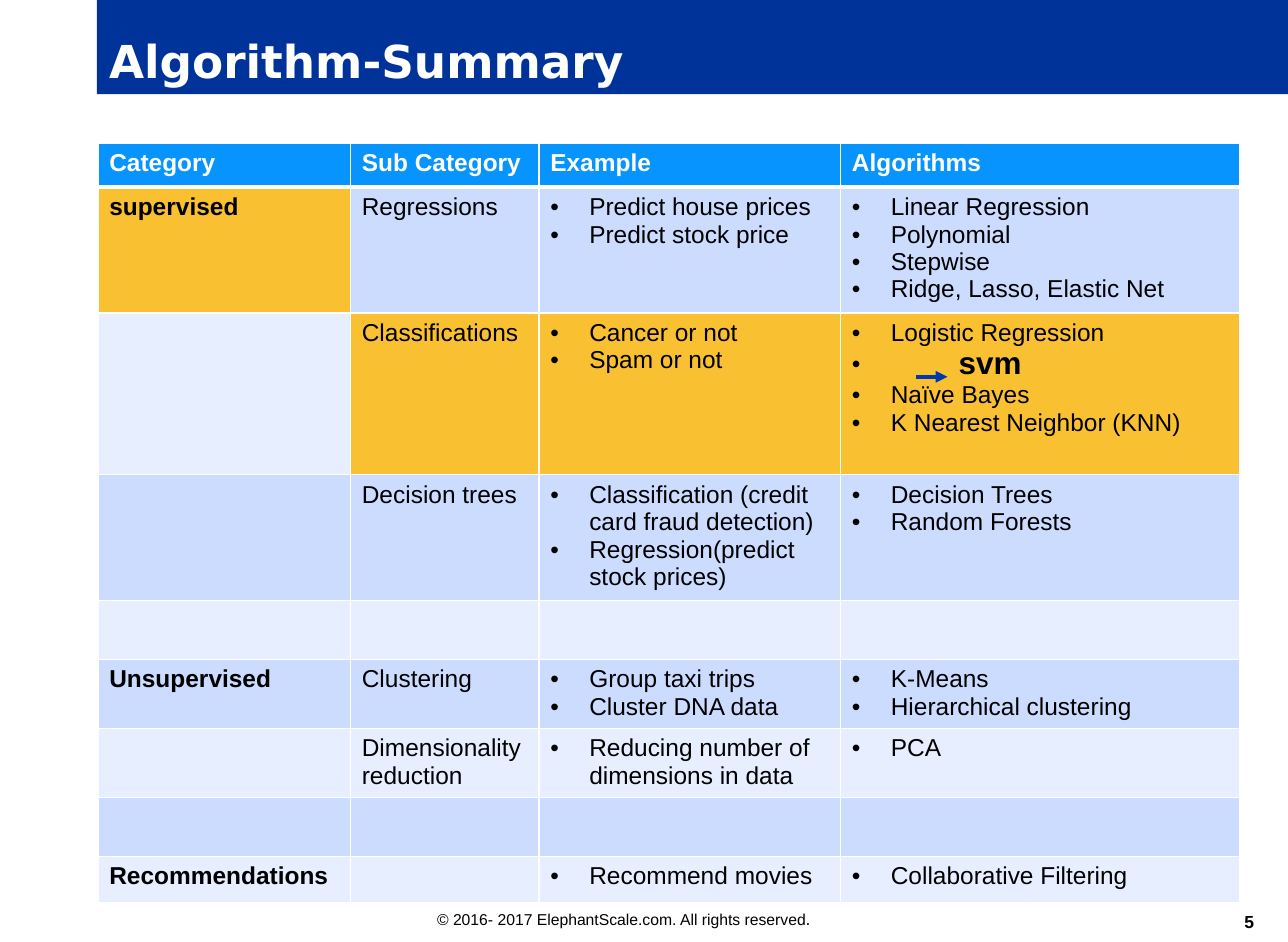
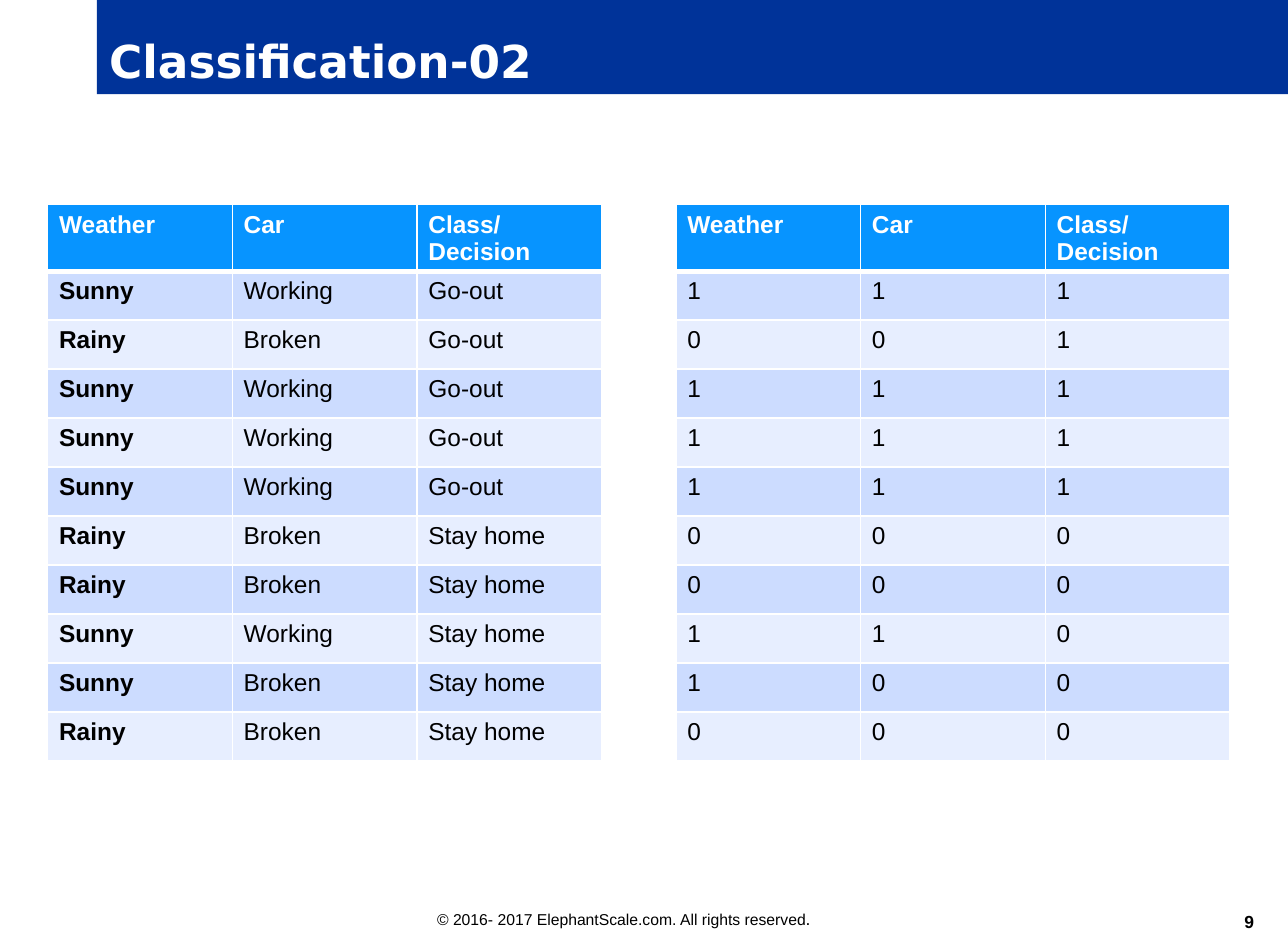
from lxml import etree
from pptx import Presentation
from pptx.dml.color import RGBColor
from pptx.enum.shapes import MSO_CONNECTOR, MSO_SHAPE
from pptx.enum.text import MSO_ANCHOR, PP_ALIGN
from pptx.oxml.ns import qn
from pptx.util import Inches, Pt

STRAIGHT = MSO_CONNECTOR.STRAIGHT
RECTANGLE = MSO_SHAPE.RECTANGLE
BOTTOM = MSO_ANCHOR.BOTTOM
LEFT, RIGHT = PP_ALIGN.LEFT, PP_ALIGN.RIGHT

COLORS = {
    "white": "FFFFFF", "black": "000000", "band": "003399", "header": "0794FF",
    "odd": "CCDCFF", "even": "E7EEFF", "highlight": "F9C032", "arrow": "0039AB",
}
BODY_FONT, TITLE_FONT = "Arial", "DejaVu Sans"
CELL_SIZE, SVM_SIZE = 14, 18
BULLET_INDENT, SVM_INDENT = 0.31, 0.85
CELL_MARGINS = {"margin_left": 0.09, "margin_right": 0.09,
                "margin_top": 0.05, "margin_bottom": 0.01}
COPYRIGHT = "© 2016- 2017 ElephantScale.com. All rights reserved"

ALGORITHM_HEADER = ["Category", "Sub Category", "Example", "Algorithms"]
ALGORITHM_ROWS = [
    ("supervised", "Regressions",
     ["Predict house prices", "Predict stock price"],
     ["Linear Regression", "Polynomial", "Stepwise", "Ridge, Lasso, Elastic Net"]),
    ("", "Classifications",
     ["Cancer or not", "Spam or not"],
     ["Logistic Regression", "svm", "Naïve Bayes", "K Nearest Neighbor (KNN)"]),
    ("", "Decision trees",
     ["Classification (credit card fraud detection)", "Regression(predict stock prices)"],
     ["Decision Trees", "Random Forests"]),
    ("", "", "", ""),
    ("Unsupervised", "Clustering",
     ["Group taxi trips", "Cluster DNA data"],
     ["K-Means", "Hierarchical clustering"]),
    ("", "Dimensionality reduction", ["Reducing number of dimensions in data"], ["PCA"]),
    ("", "", "", ""),
    ("Recommendations", "", ["Recommend movies"], ["Collaborative Filtering"]),
]
ALGORITHM_WIDTHS = [2.01, 1.5, 2.4, 3.18]
ALGORITHM_HEIGHTS = [0.35, 1, 1.29, 1, 0.47, 0.55, 0.55, 0.47, 0.37]
HIGHLIGHTED = {(1, 0), (2, 1), (2, 2), (2, 3)}

DECISION_HEADER = ["Weather", "Car", "Class/\nDecision"]
DECISION_ROWS = [
    ("Sunny", "Working", "Go-out"),
    ("Rainy", "Broken", "Go-out"),
    ("Sunny", "Working", "Go-out"),
    ("Sunny", "Working", "Go-out"),
    ("Sunny", "Working", "Go-out"),
    ("Rainy", "Broken", "Stay home"),
    ("Rainy", "Broken", "Stay home"),
    ("Sunny", "Working", "Stay home"),
    ("Sunny", "Broken", "Stay home"),
    ("Rainy", "Broken", "Stay home"),
]
POSITIVE = {"Sunny", "Working", "Go-out"}
CODED_ROWS = [[str(int(value in POSITIVE)) for value in row] for row in DECISION_ROWS]
DECISION_WIDTHS = [1.47] * 3
DECISION_HEIGHTS = [0.53] + [0.39] * len(DECISION_ROWS)


def rgb(color):
    return RGBColor.from_string(COLORS[color])


def add_run(paragraph, text, size, color="black", bold=False, font=BODY_FONT):
    run = paragraph.add_run()
    run.text = text
    for name, value in {"size": Pt(size), "bold": bold, "name": font}.items():
        setattr(run.font, name, value)
    run.font.color.rgb = rgb(color)


def add_bullet(paragraph, indent, size):
    properties = paragraph._p.get_or_add_pPr()
    properties.set("marL", str(Inches(indent)))
    properties.set("indent", str(-Inches(indent)))
    bullet_color = etree.SubElement(properties, qn("a:buClr"))
    etree.SubElement(bullet_color, qn("a:srgbClr"), val=COLORS["black"])
    etree.SubElement(properties, qn("a:buSzPct"), val=str(round(CELL_SIZE / size * 100) * 1000))
    etree.SubElement(properties, qn("a:buFont"), typeface=BODY_FONT)
    etree.SubElement(properties, qn("a:buChar"), char="•")


def add_borders(cell, row):
    widths = {"L": 0.96, "R": 0.96, "T": 3 if row == 1 else 0.96, "B": 3 if row == 0 else 0.96}
    for side, width in widths.items():
        border = etree.SubElement(cell._tc.get_or_add_tcPr(), qn(f"a:ln{side}"), w=str(Pt(width)))
        fill = etree.SubElement(border, qn("a:solidFill"))
        etree.SubElement(fill, qn("a:srgbClr"), val=COLORS["white"])


def fill_cell(cell, content, color, bold):
    bulleted = isinstance(content, list)
    lines = content if bulleted else content.split("\n")
    frame = cell.text_frame
    for index, line in enumerate(lines):
        paragraph = frame.add_paragraph() if index else frame.paragraphs[0]
        emphasized = line == "svm"
        size = SVM_SIZE if emphasized else CELL_SIZE
        if bulleted:
            add_bullet(paragraph, SVM_INDENT if emphasized else BULLET_INDENT, size)
        if line:
            add_run(paragraph, line, size, color, bold or emphasized)
        etree.SubElement(paragraph._p, qn("a:endParaRPr"), sz=str(size * 100))


def add_grid(slide, left, top, widths, heights, header, rows, bold_first=True, highlighted=()):
    table = slide.shapes.add_table(
        len(heights), len(widths), Inches(left), Inches(top),
        Inches(sum(widths)), Inches(sum(heights))).table
    table.first_row = table.horz_banding = False
    for column, width in zip(table.columns, widths):
        column.width = Inches(width)
    for line, height in zip(table.rows, heights):
        line.height = Inches(height)
    for r, contents in enumerate([header, *rows]):
        band = "header" if r == 0 else "odd" if r % 2 else "even"
        for c, content in enumerate(contents):
            cell = table.cell(r, c)
            for name, value in CELL_MARGINS.items():
                setattr(cell, name, Inches(value))
            add_borders(cell, r)
            cell.fill.solid()
            cell.fill.fore_color.rgb = rgb("highlight" if (r, c) in highlighted else band)
            fill_cell(cell, content, "black" if r else "white",
                      r == 0 or (c == 0 and bold_first))


def add_arrow(slide, start, end, y):
    arrow = slide.shapes.add_connector(STRAIGHT, Inches(start), Inches(y), Inches(end), Inches(y))
    arrow.line.color.rgb = rgb("arrow")
    arrow.line.width = Pt(2.25)
    etree.SubElement(arrow.line._get_or_add_ln(), qn("a:tailEnd"), type="triangle")
    etree.SubElement(arrow._element.spPr, qn("a:effectLst"))


def add_slide(deck, title, number):
    slide = deck.slides.add_slide(deck.slide_layouts[6])
    footer = slide.shapes.add_textbox(Inches(3.38), Inches(7.18), Inches(4.65), Inches(0.26))
    footer.text_frame.word_wrap = True
    notice = footer.text_frame.paragraphs[0]
    add_run(notice, COPYRIGHT, 9)
    add_run(notice, ".", 10)

    band = slide.shapes.add_shape(RECTANGLE, Inches(0.77), 0, Inches(9.48), Inches(0.75))
    band.shadow.inherit = False
    band.fill.solid()
    band.fill.fore_color.rgb = rgb("band")
    band.line.fill.background()
    band.text_frame.vertical_anchor = BOTTOM
    heading = band.text_frame.paragraphs[0]
    heading.alignment = LEFT
    add_run(heading, title, 26, "white", True, TITLE_FONT)

    page = slide.shapes.add_textbox(Inches(9.38), Inches(7.17), Inches(0.6), Inches(0.25)).text_frame
    frame_format = {"word_wrap": True, "vertical_anchor": BOTTOM, "margin_left": 0,
                    "margin_right": 0, "margin_top": 0, "margin_bottom": 0}
    for name, value in frame_format.items():
        setattr(page, name, value)
    page.paragraphs[0].alignment = RIGHT
    add_run(page.paragraphs[0], number, 10, bold=True)
    return slide


def main():
    deck = Presentation()
    deck.slide_width, deck.slide_height = Inches(10.25), Inches(7.5)

    summary = add_slide(deck, "Algorithm-Summary", "5")
    add_grid(summary, 0.78, 1.14, ALGORITHM_WIDTHS, ALGORITHM_HEIGHTS,
             ALGORITHM_HEADER, ALGORITHM_ROWS, highlighted=HIGHLIGHTED)
    add_arrow(summary, 7.29, 7.54, 3)

    classification = add_slide(deck, "Classification-02", "9")
    for left, rows, bold_first in [(0.38, DECISION_ROWS, True), (5.38, CODED_ROWS, False)]:
        add_grid(classification, left, 1.63, DECISION_WIDTHS, DECISION_HEIGHTS,
                 DECISION_HEADER, rows, bold_first)

    deck.save("out.pptx")


if __name__ == "__main__":
    main()
